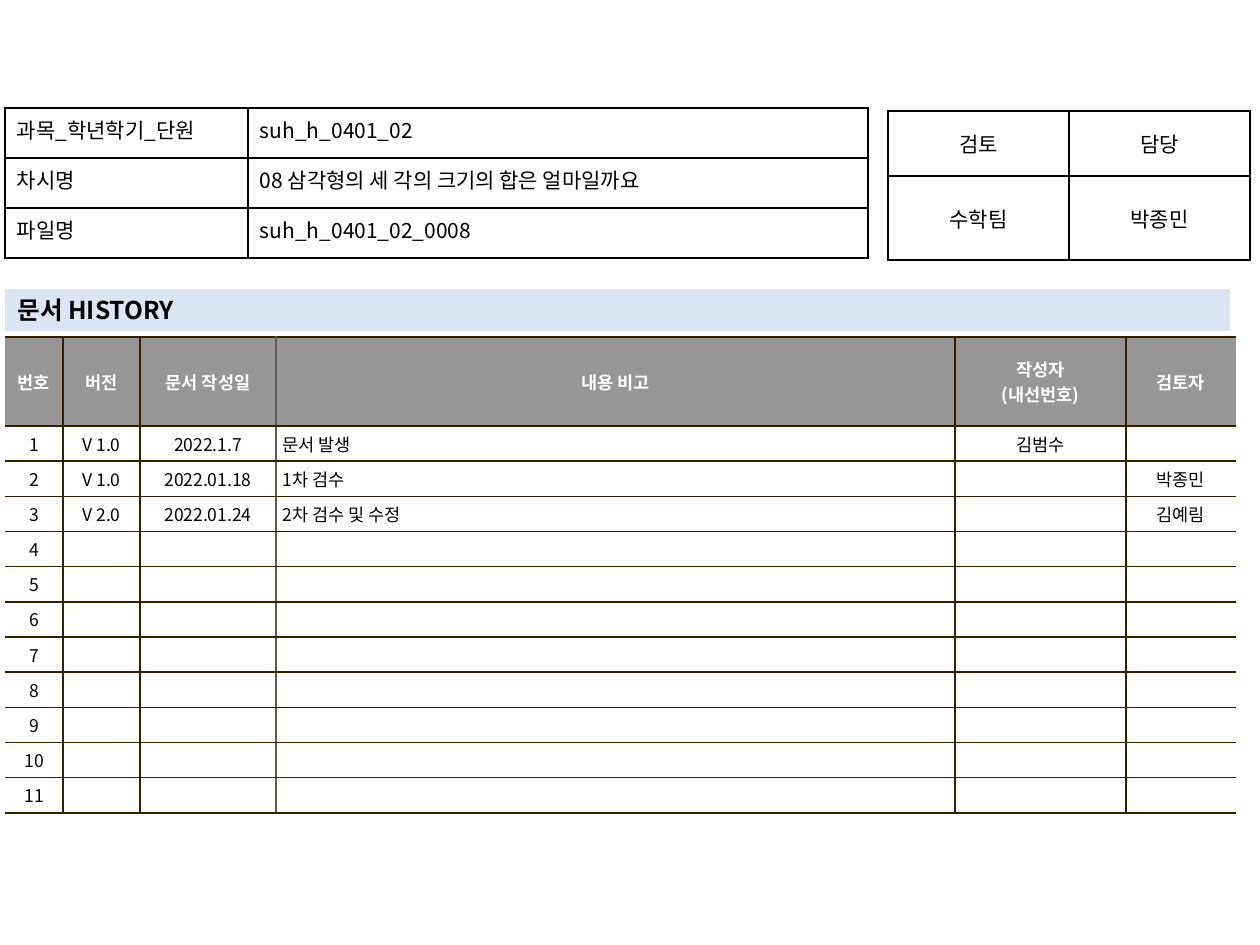
from lxml import etree
from pptx import Presentation
from pptx.dml.color import RGBColor
from pptx.enum.text import MSO_ANCHOR, PP_ALIGN
from pptx.oxml.ns import qn
from pptx.util import Emu, Pt

LEFT, CENTER, JUSTIFY = PP_ALIGN.LEFT, PP_ALIGN.CENTER, PP_ALIGN.JUSTIFY
TOP, MIDDLE = MSO_ANCHOR.TOP, MSO_ANCHOR.MIDDLE
TITLE_ONLY = 5
FONT = "Noto Sans CJK KR"
BLACK, WHITE, GRAY, PALE_BLUE = "000000", "FFFFFF", "969696", "DCE6F2"
BROWN, TAUPE = "362000", "645B4C"

FILE_INFO = [
    ["과목_학년학기_단원", "suh_h_0401_02"],
    ["차시명", "08 삼각형의 세 각의 크기의 합은 얼마일까요"],
    ["파일명", "suh_h_0401_02_0008"],
]
REVIEWERS = [["검토", "담당"], ["수학팀", "박종민"]]
HISTORY_HEAD = ["번호", "버전", "문서 작성일", "내용 비고", "작성자\n(내선번호)", "검토자"]
REVISIONS = [
    ["V 1.0", "2022.1.7", "문서 발생", "김범수", ""],
    ["V 1.0", "2022.01.18", "1차 검수", "", "박종민"],
    ["V 2.0", "2022.01.24", "2차 검수 및 수정", "", "김예림"],
]
REVISION_ROWS = 11
NOTE_COLUMN = 3


def px(length):
    return Emu(round(length * 914400 / 126))


def rgb(value):
    return RGBColor.from_string(value)


def style_para(para, size, color=BLACK, bold=False, align=LEFT):
    para.alignment = align
    font = para.font
    font.size, font.bold, font.name = Pt(size), bold, FONT
    font.color.rgb = rgb(color)
    etree.SubElement(font._element, qn("a:ea"), typeface=FONT)
    if not para.runs:
        # An empty cell takes its line height from the end mark.
        etree.SubElement(para._p, qn("a:endParaRPr"), sz=str(size * 100))


def set_borders(cell, left, right, top, bottom):
    """Draw 1 pt cell edges; an edge without a colour stays open."""
    props = cell._tc.get_or_add_tcPr()
    for side, color in zip("LRTB", (left, right, top, bottom)):
        line = etree.SubElement(props, qn(f"a:ln{side}"), w=str(Pt(1)))
        if color:
            fill = etree.SubElement(line, qn("a:solidFill"))
            etree.SubElement(fill, qn("a:srgbClr"), val=color)
        else:
            etree.SubElement(line, qn("a:noFill"))


def set_margins(cell, across, down):
    cell.margin_left = cell.margin_right = px(across)
    cell.margin_top = cell.margin_bottom = px(down)


def add_grid(page, left, top, widths, heights):
    """Add a table without banding, sized by its columns and rows."""
    frame = page.shapes.add_table(
        len(heights), len(widths),
        px(left), px(top), px(sum(widths)), px(sum(heights)))
    table = frame.table
    table.first_row = table.horz_banding = False
    for column, width in zip(table.columns, widths):
        column.width = px(width)
    for row, height in zip(table.rows, heights):
        row.height = px(height)
    return table


def add_plain_table(page, left, top, widths, heights, texts, aligns, anchor):
    table = add_grid(page, left, top, widths, heights)
    for r, row in enumerate(texts):
        for c, text in enumerate(row):
            cell = table.cell(r, c)
            cell.text = text
            cell.vertical_anchor = anchor
            set_margins(cell, 12, 6)
            set_borders(cell, BLACK, BLACK, BLACK, BLACK)
            cell.fill.background()
            style_para(cell.text_frame.paragraphs[0], 12, align=aligns[c])


def add_history_title(page, left, top, width, height):
    title = page.shapes.title
    title.left, title.top = px(left), px(top)
    title.width, title.height = px(width), px(height)
    title.fill.solid()
    title.fill.fore_color.rgb = rgb(PALE_BLUE)
    frame = title.text_frame
    frame.text = "문서 HISTORY"
    frame.vertical_anchor = MIDDLE
    frame.margin_top = frame.margin_bottom = 0
    style_para(frame.paragraphs[0], 14, bold=True)


def add_history_table(page, left, top, widths, head_height, row_height):
    heights = [head_height] + [row_height] * REVISION_ROWS
    table = add_grid(page, left, top, widths, heights)
    edges = [None] + [BROWN] * (len(widths) - 1) + [None]
    edges[NOTE_COLUMN] = TAUPE
    blank = [""] * (len(widths) - 1)
    texts = [HISTORY_HEAD]
    for number in range(1, REVISION_ROWS + 1):
        details = REVISIONS[number - 1] if number <= len(REVISIONS) else blank
        texts.append([str(number)] + details)
    for r, row in enumerate(texts):
        head = r == 0
        for c, text in enumerate(row):
            cell = table.cell(r, c)
            cell.text = text
            cell.vertical_anchor = MIDDLE
            set_margins(cell, 7, 5)
            set_borders(cell, edges[c], edges[c + 1], BROWN, BROWN)
            cell.fill.solid()
            cell.fill.fore_color.rgb = rgb(GRAY if head else WHITE)
            align = LEFT if c == NOTE_COLUMN and not head else CENTER
            for para in cell.text_frame.paragraphs:
                style_para(para, 10, WHITE if head else BLACK, head, align)


def main():
    deck = Presentation()
    deck.slide_width, deck.slide_height = px(1260), px(945)
    page = deck.slides.add_slide(deck.slide_layouts[TITLE_ONLY])
    add_history_title(page, 5, 289, 1225, 42)
    add_history_table(page, 5, 337, [58, 77, 136, 679, 171, 110], 89, 35)
    add_plain_table(page, 888, 111, [181, 181], [65, 84],
                    REVIEWERS, [CENTER, CENTER], MIDDLE)
    add_plain_table(page, 5, 108, [243, 620], [50] * 3,
                    FILE_INFO, [JUSTIFY, LEFT], TOP)
    deck.save("out.pptx")


if __name__ == "__main__":
    main()
